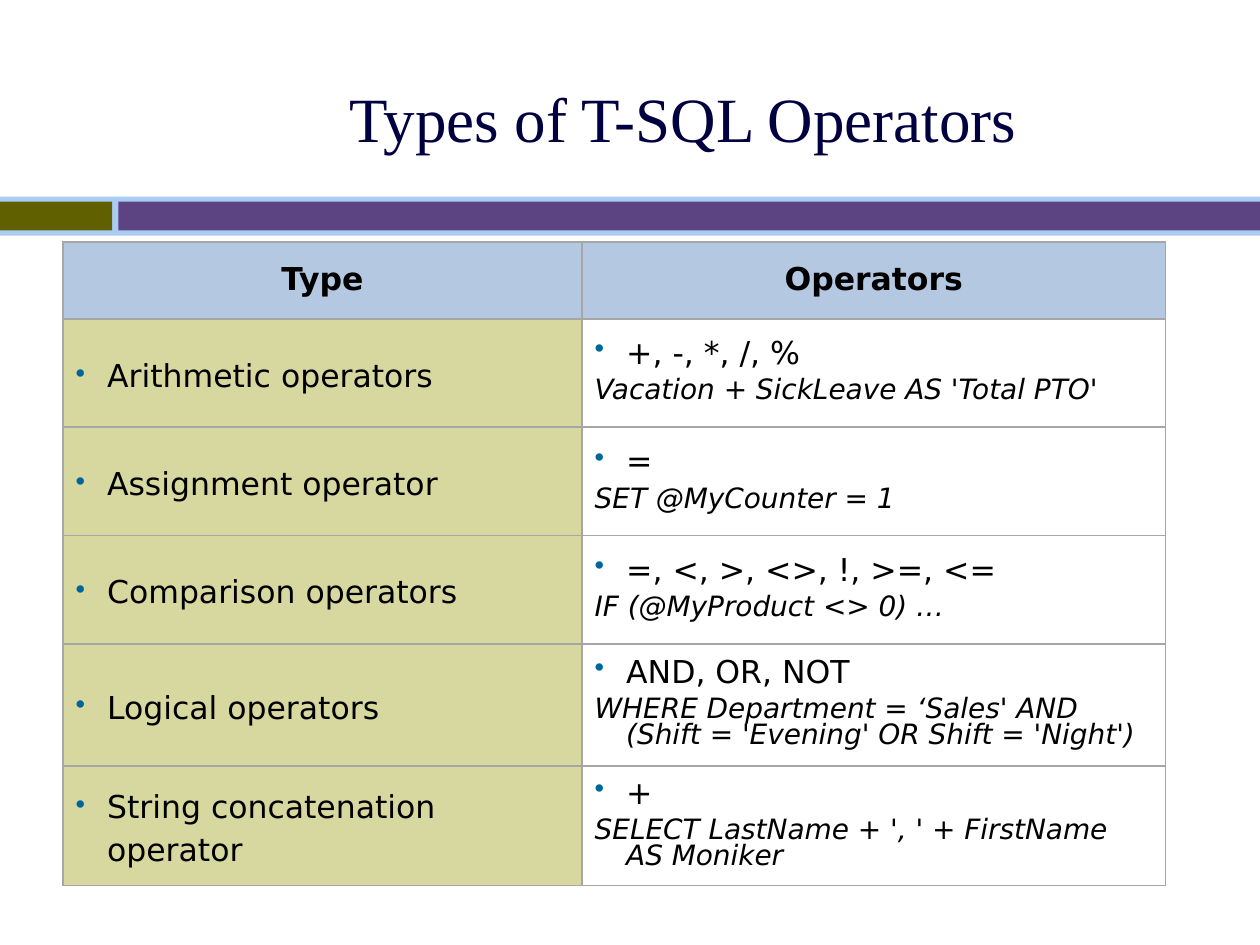
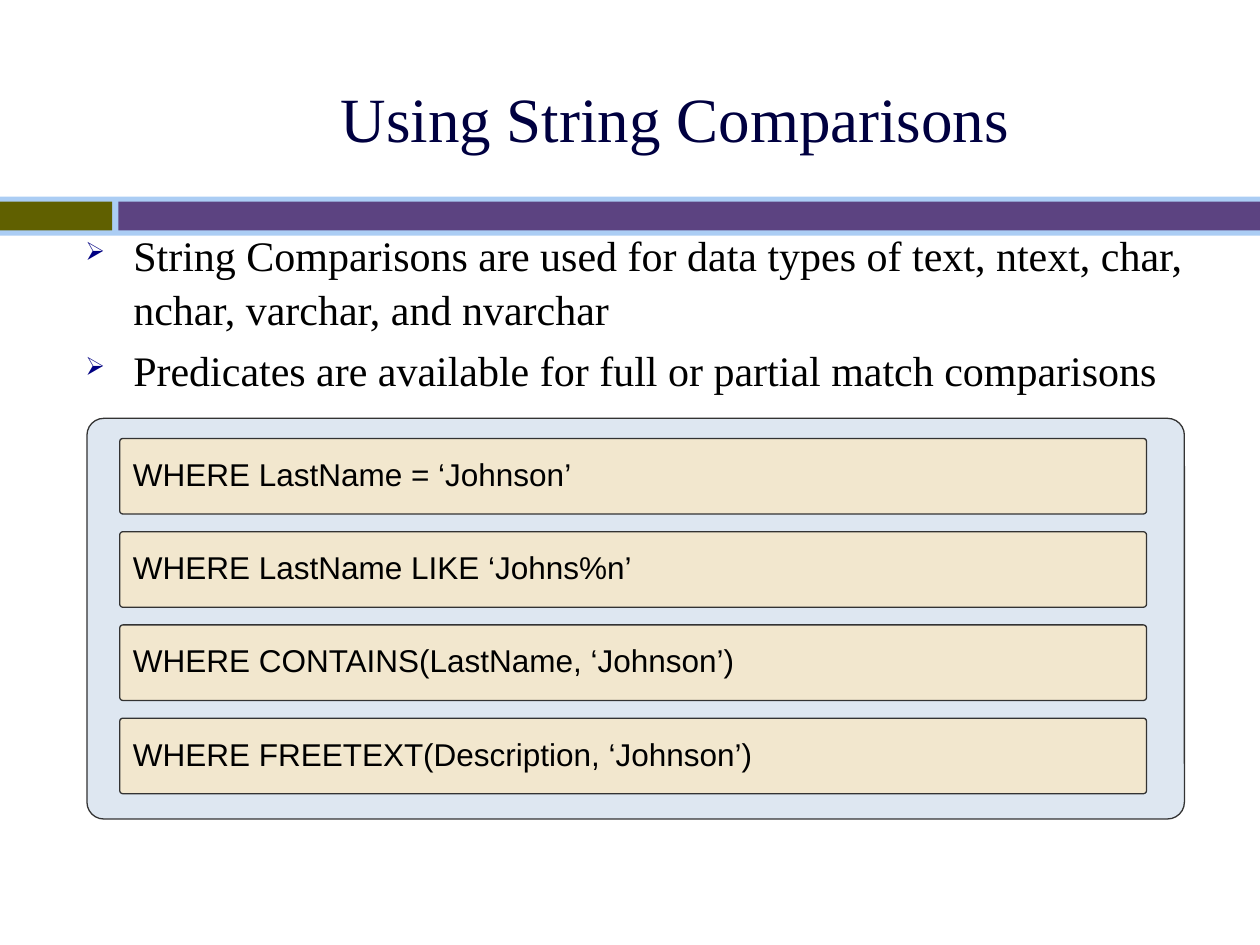
from dataclasses import dataclass

from lxml import etree
from pptx import Presentation
from pptx.dml.color import RGBColor
from pptx.enum import shapes, text
from pptx.oxml import ns
from pptx.util import Inches, Pt

COLORS = {
    "title": "000040", "black": "000000", "white": "FFFFFF",
    "band": "ABCDF4", "olive": "606000", "purple": "5C4381",
    "header": "B4C8E1", "type": "D7D7A0", "border": "A6A6A6",
    "dot": "006699", "arrow": "000082",
    "panel": "DEE7F1", "code": "F2E7CE", "outline": "333333",
}
SERIF, SANS, CODE = "Times New Roman", "DejaVu Sans", "Arial"


@dataclass
class Box:
    left: float
    top: float
    width: float
    height: float

    def emu(self) -> tuple:
        return tuple(Inches(v) for v in (self.left, self.top, self.width, self.height))


@dataclass
class Style:
    font: str
    size: float
    color: str = "black"
    bold: bool = False
    italic: bool = False
    spacing: float = 1.0
    before: float = 0
    indent: float = 0
    align: text.PP_ALIGN = text.PP_ALIGN.LEFT
    bullet: str = ""
    bullet_color: str = "black"
    bullet_size: int = 100


@dataclass
class OperatorRow:
    kind: str
    operators: str
    example: str


# Shared geometry and text styles
BANDS = [
    (Box(0, 1.56, 10, 0.31), "band"),
    (Box(0, 1.6, 0.89, 0.23), "olive"),
    (Box(0.94, 1.6, 9.06, 0.23), "purple"),
]
TITLE_BOX = Box(0.92, 0.31, 9, 1.25)
TITLE = Style(SERIF, 36, "title", align=text.PP_ALIGN.CENTER)
HEADER = Style(SANS, 18, bold=True, spacing=0.9, align=text.PP_ALIGN.CENTER)
DOT = dict(indent=0.25, bullet="•", bullet_color="dot", bullet_size=90)
KIND = Style(SANS, 18, spacing=1.18, **DOT)
OPERATORS = Style(SANS, 18, spacing=0.8, **DOT)
EXAMPLE = Style(SANS, 16, italic=True, spacing=0.8, before=5, indent=0.25)
POINT = Style(SERIF, 24, spacing=1.06, before=4.8, indent=0.38,
              bullet="➢", bullet_color="arrow", bullet_size=60)
CLAUSE = Style(CODE, 18, spacing=0.9)

# Slide content
OPERATOR_ROWS = [
    OperatorRow("Arithmetic operators", "+, -, *, /, %",
                "Vacation + SickLeave AS 'Total PTO'"),
    OperatorRow("Assignment operator", "=", "SET @MyCounter = 1"),
    OperatorRow("Comparison operators", "=, <, >, <>, !, >=, <=",
                "IF (@MyProduct <> 0) …"),
    OperatorRow("Logical operators", "AND, OR, NOT",
                "WHERE Department = ‘Sales' AND (Shift = 'Evening' OR Shift = 'Night')"),
    OperatorRow("String concatenation operator", "+",
                "SELECT LastName + ', ' + FirstName AS Moniker"),
]
COL_WIDTHS = [4.12, 4.63]
ROW_HEIGHTS = [0.61, 0.86, 0.86, 0.86, 0.97, 0.95]
POINTS = [
    "String Comparisons are used for data types of text, ntext, char, "
    "nchar, varchar, and nvarchar",
    "Predicates are available for full or partial match comparisons",
]
CLAUSES = [
    "WHERE LastName = ‘Johnson’",
    "WHERE LastName LIKE ‘Johns%n’",
    "WHERE CONTAINS(LastName, ‘Johnson’)",
    "WHERE FREETEXT(Description, ‘Johnson’)",
]
CLAUSE_PITCH = 0.74


def rgb(name: str) -> RGBColor:
    return RGBColor.from_string(COLORS[name])


def sub(parent, tag: str, **attrs):
    return etree.SubElement(parent, ns.qn(tag), attrs)


def write(tf, lines: list) -> None:
    """Fill a text frame with (text, style) paragraphs."""
    for i, (line, style) in enumerate(lines):
        p = tf.add_paragraph() if i else tf.paragraphs[0]
        p.text = line
        pPr = p._p.get_or_add_pPr()
        if style.indent:
            pPr.set("marL", str(Inches(style.indent)))
            pPr.set("indent", str(-Inches(style.indent)))
        if style.bullet:
            sub(sub(pPr, "a:buClr"), "a:srgbClr", val=COLORS[style.bullet_color])
            sub(pPr, "a:buSzPct", val=str(style.bullet_size * 1000))
            sub(pPr, "a:buChar", char=style.bullet)
        else:
            sub(pPr, "a:buNone")
        p.alignment = style.align
        p.line_spacing = style.spacing
        p.space_before = Pt(style.before if i else 0)
        for r in p.runs:
            r.font.name, r.font.size = style.font, Pt(style.size)
            r.font.bold, r.font.italic = style.bold, style.italic
            r.font.color.rgb = rgb(style.color)


def add_block(s, box: Box, fill: str, rounded: bool = False):
    """Plain rectangle, or an outlined rounded one."""
    kind = shapes.MSO_SHAPE.ROUNDED_RECTANGLE if rounded else shapes.MSO_SHAPE.RECTANGLE
    sp = s.shapes.add_shape(kind, *box.emu())
    sp.shadow.inherit = False
    sp.fill.solid()
    sp.fill.fore_color.rgb = rgb(fill)
    if rounded:
        sp.adjustments[0] = 0.042
        sp.line.color.rgb = rgb("outline")
        sp.line.width = Pt(0.75)
    else:
        sp.line.fill.background()
    return sp


def add_titled_slide(prs, title: str):
    s = prs.slides.add_slide(prs.slide_layouts[5])
    for box, fill in BANDS:
        add_block(s, box, fill)
    sp = s.shapes.title
    sp.left, sp.top, sp.width, sp.height = TITLE_BOX.emu()
    tf = sp.text_frame
    tf.vertical_anchor = text.MSO_ANCHOR.MIDDLE
    tf.auto_size = text.MSO_AUTO_SIZE.NONE
    write(tf, [(title, TITLE)])
    return s


def fill_cell(cell, lines: list, fill: str) -> None:
    cell.fill.solid()
    cell.fill.fore_color.rgb = rgb(fill)
    cell.vertical_anchor = text.MSO_ANCHOR.MIDDLE
    cell.margin_left = cell.margin_right = Inches(0.1)
    cell.margin_top = cell.margin_bottom = Inches(0.1)
    write(cell.text_frame, lines)
    # Borders come before the fill in the cell properties
    tcPr = cell._tc.get_or_add_tcPr()
    for i, side in enumerate(("a:lnL", "a:lnR", "a:lnT", "a:lnB")):
        ln = sub(tcPr, side, w=str(Pt(1)))
        sub(sub(ln, "a:solidFill"), "a:srgbClr", val=COLORS["border"])
        tcPr.insert(i, ln)


def add_operators_slide(prs) -> None:
    s = add_titled_slide(prs, "Types of T-SQL Operators")
    box = Box(0.5, 1.92, sum(COL_WIDTHS), sum(ROW_HEIGHTS))
    table = s.shapes.add_table(len(ROW_HEIGHTS), len(COL_WIDTHS), *box.emu()).table
    for column, width in zip(table.columns, COL_WIDTHS):
        column.width = Inches(width)
    for row, height in zip(table.rows, ROW_HEIGHTS):
        row.height = Inches(height)
    for c, heading in enumerate(("Type", "Operators")):
        fill_cell(table.cell(0, c), [(heading, HEADER)], "header")
    for r, row in enumerate(OPERATOR_ROWS, start=1):
        fill_cell(table.cell(r, 0), [(row.kind, KIND)], "type")
        fill_cell(table.cell(r, 1),
                  [(row.operators, OPERATORS), (row.example, EXAMPLE)], "white")


def add_comparisons_slide(prs) -> None:
    s = add_titled_slide(prs, "Using String Comparisons ")
    tf = s.shapes.add_textbox(*Box(0.58, 1.75, 9.14, 1.5).emu()).text_frame
    tf.word_wrap = True
    write(tf, [(point, POINT) for point in POINTS])
    # Panel with one box per clause
    add_block(s, Box(0.69, 3.32, 8.71, 3.18), "panel", rounded=True)
    for i, clause in enumerate(CLAUSES):
        box = Box(0.95, 3.48 + i * CLAUSE_PITCH, 8.15, 0.6)
        tf = add_block(s, box, "code", rounded=True).text_frame
        tf.word_wrap = True
        tf.vertical_anchor = text.MSO_ANCHOR.MIDDLE
        write(tf, [(clause, CLAUSE)])


def main() -> None:
    prs = Presentation()
    prs.slide_width, prs.slide_height = Inches(10), Inches(7.5)
    add_operators_slide(prs)
    add_comparisons_slide(prs)
    prs.save("out.pptx")


if __name__ == "__main__":
    main()
